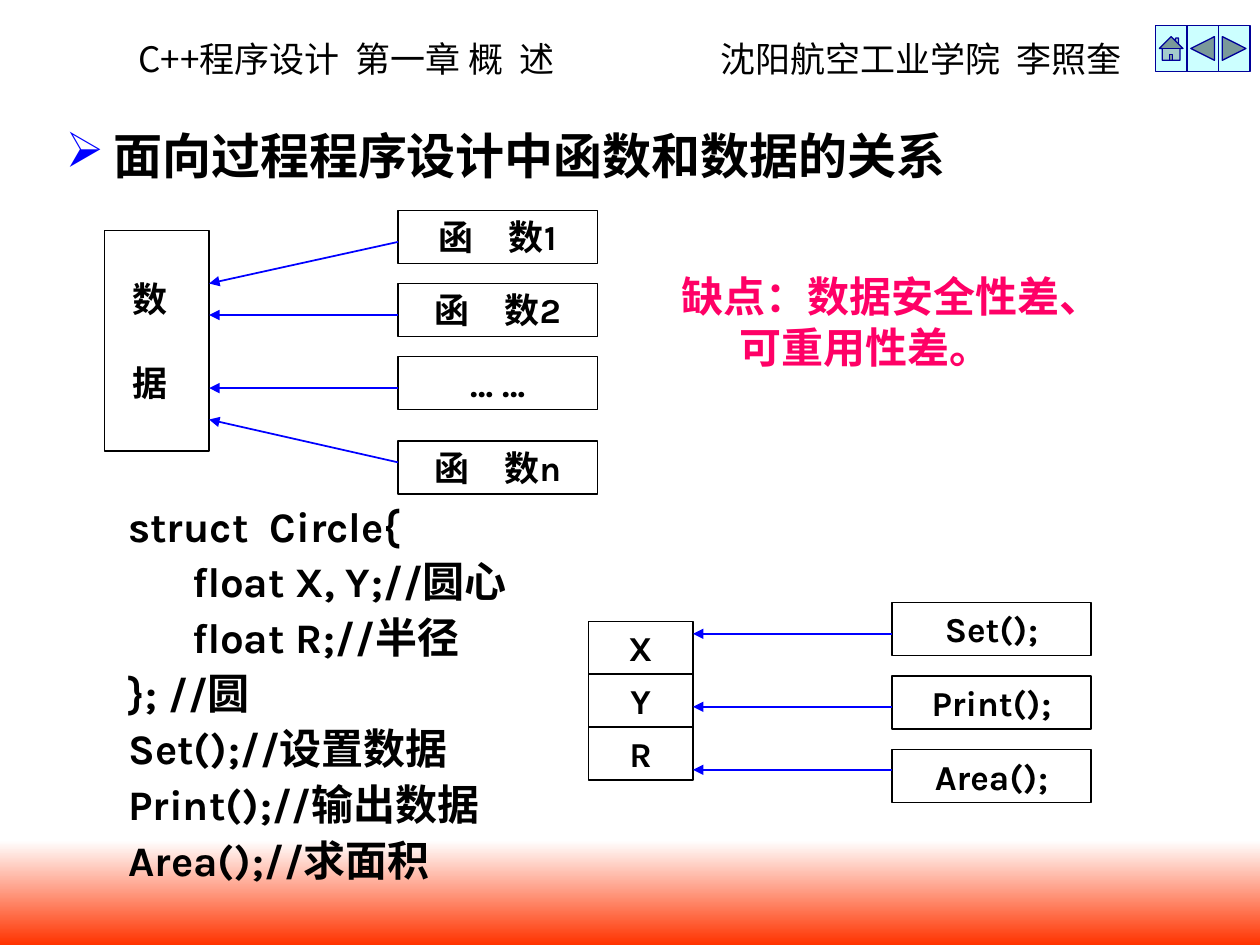
from lxml.etree import SubElement
from pptx import Presentation
from pptx.dml.color import RGBColor
from pptx.enum.shapes import MSO_CONNECTOR, MSO_SHAPE
from pptx.enum.text import MSO_ANCHOR, MSO_AUTO_SIZE, PP_ALIGN
from pptx.oxml.ns import qn
from pptx.util import Inches, Pt

BLACK = RGBColor(0, 0, 0)
WHITE = RGBColor(255, 255, 255)
BLUE = RGBColor(0, 0, 255)
NAVY = RGBColor(0, 0, 0x99)
PALE_CYAN = RGBColor(0xCC, 255, 255)
ORANGE_RED = RGBColor(255, 0x33, 0)
PINK = RGBColor(255, 0, 0x66)
LATIN, CJK = "Karla", "Noto Sans CJK SC"

HEADER = "C++程序设计  第一章 概  述\t沈阳航空工业学院  李照奎"
HEADING = "面向过程程序设计中函数和数据的关系"
DATA = ["数", "据"]
FUNCTIONS = [("函　数1", 1.67), ("函　数2", 2.25), ("… …", 2.83), ("函　数n", 3.5)]
CODE = [
    "struct  Circle{",
    "      float X, Y;//圆心",
    "      float R;//半径",
    "}; //圆",
    "Set();//设置数据",
    "Print();//输出数据",
    "Area();//求面积",
]
FIELDS = ["X", "Y", "R"]
METHODS = ["Set();", "Print();", "Area();"]
DRAWBACK = "缺点：数据安全性差、\v可重用性差。"
ARROWS = [
    (3.16, 1.92, 1.66, 2.25),
    (3.16, 2.5, 1.66, 2.5),
    (3.16, 3.08, 1.66, 3.08),
    (3.16, 3.67, 1.66, 3.33),
    (7.08, 5.03, 5.5, 5.03),
    (7.08, 5.61, 5.5, 5.61),
    (7.08, 6.11, 5.5, 6.11),
]
BUTTONS = [
    MSO_SHAPE.ACTION_BUTTON_HOME,
    MSO_SHAPE.ACTION_BUTTON_BACK_OR_PREVIOUS,
    MSO_SHAPE.ACTION_BUTTON_FORWARD_OR_NEXT,
]
FUNCTION_SIZE, FIELD_SIZE = (1.58, 0.42), (0.83, 0.42)


def write(box, lines, size, color=BLACK, name=LATIN, bold=True, align=PP_ALIGN.LEFT, gap=0):
    """Fill a shape with formatted paragraphs."""
    frame = box.text_frame
    frame.text = "\n".join(lines)
    for index, para in enumerate(frame.paragraphs):
        para.alignment = align
        para.space_before = Pt(gap if index else 0)
        for span in para.runs:
            for key, value in {"size": Pt(size), "bold": bold, "name": name}.items():
                setattr(span.font, key, value)
            span.font.color.rgb = color
            SubElement(span.font._element, qn("a:ea"), typeface=name)
    return frame


def indent(para, left, first=0):
    """Set the left margin and first-line indent of a paragraph."""
    props = para._p.get_or_add_pPr()
    props.set("marL", str(Inches(left)))
    props.set("indent", str(Inches(first)))
    return props


def add_text(page, place, lines, size, **style):
    """Add a wrapping text box."""
    box = page.shapes.add_textbox(*map(Inches, place))
    box.text_frame.word_wrap = True
    return write(box, lines, size, **style)


def add_box(shapes, place, lines, **style):
    """Add an outlined rectangle with text in its middle."""
    box = shapes.add_shape(MSO_SHAPE.RECTANGLE, *map(Inches, place))
    box.shadow.inherit = False
    box.fill.background()
    box.line.color.rgb = BLACK
    box.line.width = Pt(0.75)
    frame = write(box, lines, 20, **style)
    frame.vertical_anchor = MSO_ANCHOR.MIDDLE
    return frame


def add_arrow(page, ends):
    """Add a blue line with an arrowhead at its far end."""
    arrow = page.shapes.add_connector(MSO_CONNECTOR.STRAIGHT, *map(Inches, ends))
    arrow.line.color.rgb = BLUE
    arrow.line.width = Pt(1)
    SubElement(arrow.line._get_or_add_ln(), qn("a:tailEnd"), type="triangle")
    SubElement(arrow._element.spPr, qn("a:effectLst"))


def add_frame(page):
    """Add the header, the colour band and the navigation buttons."""
    band = page.shapes.add_shape(
        MSO_SHAPE.RECTANGLE, 0, Inches(6.67), Inches(10), Inches(0.83))
    band.shadow.inherit = False
    band.line.fill.background()
    band.fill.gradient()
    band.fill.gradient_angle = 270
    for stop, color in zip(band.fill.gradient_stops, (WHITE, ORANGE_RED)):
        stop.color.rgb = color

    header = add_text(page, (1, 0.25, 8.25, 0.44), [HEADER], 20, name=CJK, bold=False)
    props = header.paragraphs[0]._p.get_or_add_pPr()
    tabs = SubElement(props, qn("a:tabLst"))
    SubElement(tabs, qn("a:tab"), pos=str(Inches(4.62)), algn="l")

    for index, kind in enumerate(BUTTONS):
        place = (9.17 + 0.25 * index, 0.2, 0.25, 0.37)
        button = page.shapes.add_shape(kind, *map(Inches, place))
        button.shadow.inherit = False
        button.fill.solid()
        button.fill.fore_color.rgb = PALE_CYAN
        button.line.color.rgb = NAVY
        button.line.width = Pt(0.75)


def add_heading(page):
    """Format the title as a bulleted heading."""
    title = page.shapes.title
    place = {"left": 0.42, "top": 1, "width": 7.75, "height": 0.5}
    for key, value in place.items():
        setattr(title, key, Inches(value))
    frame = write(title, [HEADING], 28)
    frame.auto_size = MSO_AUTO_SIZE.NONE
    frame.vertical_anchor = MSO_ANCHOR.TOP
    para = frame.paragraphs[0]
    para.line_spacing = 0.9
    props = indent(para, 0.38, -0.38)
    color = SubElement(props, qn("a:buClr"))
    SubElement(color, qn("a:srgbClr"), val=str(BLUE))
    SubElement(props, qn("a:buChar"), char="➢")


def main():
    """Build the slide on functions and data."""
    deck = Presentation()
    deck.slide_width, deck.slide_height = Inches(10), Inches(7.5)
    page = deck.slides.add_slide(deck.slide_layouts[5])
    add_frame(page)
    add_heading(page)

    data = add_box(page.shapes, (0.83, 1.83, 0.83, 1.75), DATA, gap=24)
    for para in data.paragraphs:
        indent(para, 0.12)

    calls = [(label, 3.16, top) for label, top in FUNCTIONS]
    calls += [(label, 7.08, 4.78 + 0.585 * row) for row, label in enumerate(METHODS)]
    for label, left, top in calls:
        add_box(page.shapes, (left, top, *FUNCTION_SIZE), [label], align=PP_ALIGN.CENTER)

    record = page.shapes.add_group_shape()
    for row, label in enumerate(FIELDS):
        place = (4.67, 4.93 + FIELD_SIZE[1] * row, *FIELD_SIZE)
        add_box(record.shapes, place, [label], align=PP_ALIGN.CENTER)

    for ends in ARROWS:
        add_arrow(page, ends)

    add_text(page, (0.92, 3.92, 3.67, 3.15), CODE, 24, gap=3)
    drawback = add_text(page, (5.31, 2.1, 3.7, 0.9), [DRAWBACK], 24, color=PINK, name=CJK)
    indent(drawback.paragraphs[0], 0.46, -0.46)
    deck.save("out.pptx")


if __name__ == "__main__":
    main()
